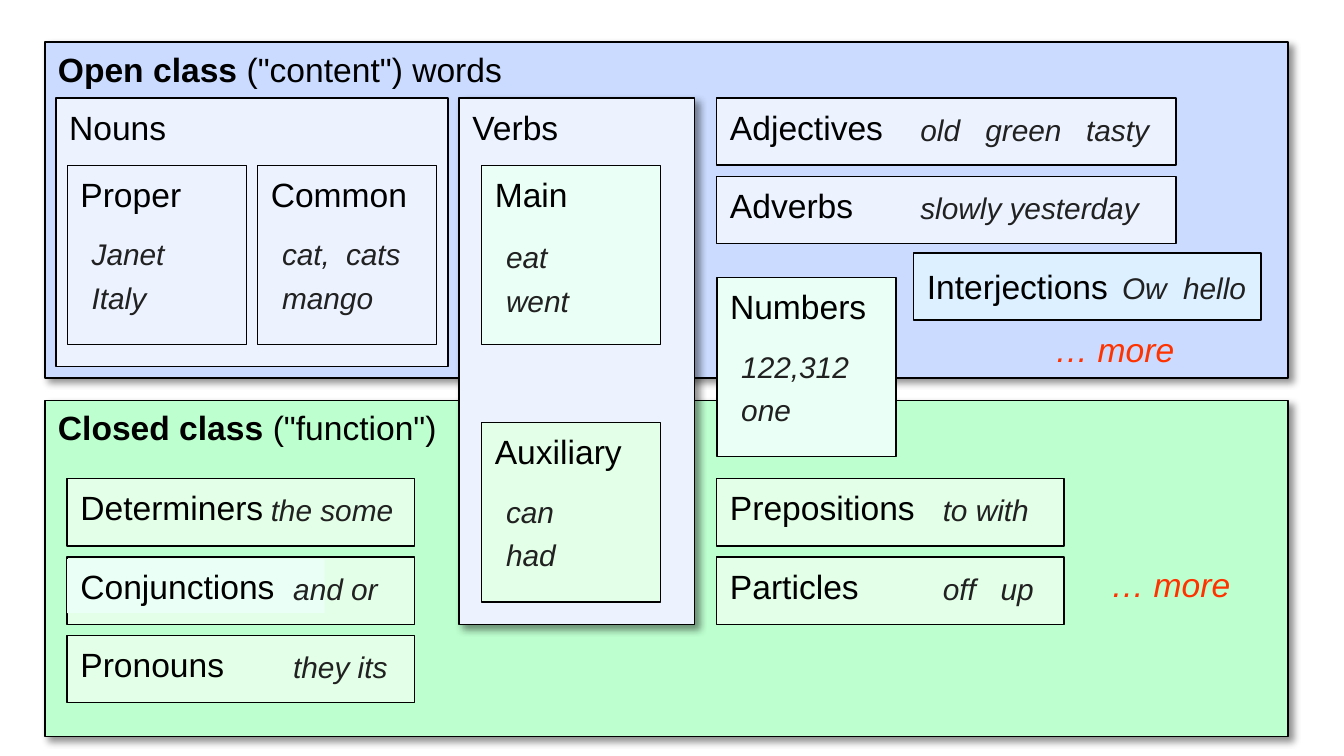
from dataclasses import dataclass

from lxml.etree import SubElement
from pptx import Presentation
from pptx.dml.color import RGBColor
from pptx.enum.shapes import MSO_SHAPE
from pptx.enum.text import MSO_ANCHOR, MSO_AUTO_SIZE, PP_ALIGN
from pptx.oxml.ns import qn
from pptx.util import Pt


@dataclass(frozen=True)
class Theme:
    font: str = "Arial"
    heading_size: float = 18
    example_size: float = 16
    black: str = "000000"
    example: str = "212121"
    more: str = "FF3300"
    open_class: str = "CADBFF"
    closed_class: str = "BDFFCF"
    open_box: str = "ECF3FF"
    closed_box: str = "E3FFE7"
    mixed_box: str = "EAFFF5"
    interjection_box: str = "DDF0FF"


THEME = Theme()
ROW_HEIGHT = 36
ROW_PITCH = 42
SQUARE = 96


def add_shadow(shape):
    effects = shape.element.spPr.find(qn("a:effectLst"))
    shadow = SubElement(effects, qn("a:outerShdw"), blurRad=str(Pt(4)),
                        dist=str(Pt(3)), dir="2700000", algn="tl", rotWithShape="0")
    color = SubElement(shadow, qn("a:srgbClr"), val=THEME.black)
    SubElement(color, qn("a:alpha"), val="43000")


def add_box(slide, left, top, width, height, fill=None, shadow=False):
    shape = slide.shapes.add_shape(MSO_SHAPE.RECTANGLE, Pt(left), Pt(top), Pt(width), Pt(height))
    shape.shadow.inherit = False
    if fill:
        shape.fill.solid()
        shape.fill.fore_color.rgb = RGBColor.from_string(fill)
    else:
        shape.fill.background()
    shape.line.color.rgb = RGBColor.from_string(THEME.black)
    shape.line.width = Pt(0.75)
    if shadow:
        add_shadow(shape)
    return shape


def write_text(shape, text, size=THEME.heading_size, color=THEME.black,
               italic=False, bold_lead="", tabs=()):
    """Write one paragraph per line; bold_lead comes first, tabs are stops in points."""
    frame = shape.text_frame
    frame.word_wrap = True
    for index, line in enumerate(text.split("\n")):
        paragraph = frame.add_paragraph() if index else frame.paragraphs[0]
        paragraph.alignment = PP_ALIGN.LEFT
        if index:
            paragraph.space_before = Pt(4)
        if tabs:
            stops = SubElement(paragraph._p.get_or_add_pPr(), qn("a:tabLst"))
            for stop in tabs:
                SubElement(stops, qn("a:tab"), pos=str(Pt(stop)), algn="l")
        for content, bold in ((bold_lead, True), (line, False)):
            if content:
                run = paragraph.add_run()
                run.text = content
                run.font.name = THEME.font
                run.font.size = Pt(size)
                run.font.bold = bold
                run.font.italic = italic
                run.font.color.rgb = RGBColor.from_string(color)


def add_text(slide, left, top, width, text, height=29, **text_format):
    shape = slide.shapes.add_textbox(Pt(left), Pt(top), Pt(width), Pt(height))
    write_text(shape, text, **text_format)
    shape.text_frame.auto_size = MSO_AUTO_SIZE.SHAPE_TO_FIT_TEXT
    return shape


def add_examples(slide, left, top, width, text, tabs=()):
    height = 50 if "\n" in text else 26.5
    add_text(slide, left, top, width, text, height=height, size=THEME.example_size,
             color=THEME.example, italic=True, tabs=tabs)


def add_class_panel(slide, top, fill, name, note, title_width):
    """Wide panel for one class of words."""
    add_box(slide, 24, top, 666, 180, fill, shadow=True)
    add_text(slide, 24, top, title_width, note, bold_lead=name)


def add_group(slide, left, top, width, height, name, shadow=False):
    """Box that holds several squares."""
    add_box(slide, left, top, width, height, THEME.open_box, shadow)
    add_text(slide, left, top + 1, 114, name)


def add_square(slide, left, top, name, examples, fill=None, drop=34.5, tabs=()):
    """Square with a heading and two lines of examples."""
    add_box(slide, left, top, SQUARE, SQUARE, fill)
    add_text(slide, left, top + 1, SQUARE + 10, name)
    add_examples(slide, left + 6, top + drop, 90, examples, tabs)


def add_rows(slide, left, top, width, fill, rows):
    """Stack of rows: name, examples, offset of the examples, tab stops, name fill."""
    for index, (name, examples, offset, tabs, name_fill) in enumerate(rows):
        row_top = top + index * ROW_PITCH
        add_box(slide, left, row_top, width, ROW_HEIGHT, fill)
        heading = add_text(slide, left, row_top + 1, 138, name)
        if name_fill:
            heading.fill.solid()
            heading.fill.fore_color.rgb = RGBColor.from_string(name_fill)
        add_examples(slide, left + offset, row_top + 3.5, 144, examples, tabs)


def add_interjections(slide, left, top):
    box = add_box(slide, left, top, 186, ROW_HEIGHT, THEME.interjection_box)
    write_text(box, "Interjections")
    box.text_frame.vertical_anchor = MSO_ANCHOR.MIDDLE
    add_examples(slide, left + 104.5, top + 5.5, 90, "Ow\thello", tabs=(32.7,))


def add_more(slide, left, top):
    add_text(slide, left, top, 90, "… more", color=THEME.more, italic=True)


def main():
    presentation = Presentation()
    presentation.slide_width = Pt(720)
    presentation.slide_height = Pt(405)
    slide = presentation.slides.add_slide(presentation.slide_layouts[6])

    # Panels of the two classes
    add_class_panel(slide, 214.5, THEME.closed_class, "Closed class ", "(\"function\")", 288)
    add_class_panel(slide, 22.5, THEME.open_class, "Open class ", "(\"content\") words", 258)

    # Nouns and verbs
    add_group(slide, 30, 52.5, 210, 144, "Nouns")
    add_square(slide, 36, 88.5, "Proper", "Janet\nItaly")
    add_square(slide, 138, 88.5, "Common", "cat,\tcats\nmango", tabs=(34.3,))
    add_group(slide, 246, 52.5, 126, 282, "Verbs", shadow=True)
    add_square(slide, 258, 226.5, "Auxiliary", "can\nhad", THEME.closed_box)
    add_square(slide, 258, 88.5, "Main", "eat\nwent", THEME.mixed_box, drop=36)

    # Rows of the other word types
    add_rows(slide, 384, 52.5, 246, THEME.open_box, [
        ("Adjectives", "old\tgreen\ttasty", 102, (34.8, 88.8), None),
        ("Adverbs", "slowly yesterday", 102, (), None),
    ])
    add_rows(slide, 384, 256.5, 186, THEME.closed_box, [
        ("Prepositions", "to with", 114, (), None),
        ("Particles", "off\tup", 114, (31,), None),
    ])
    add_rows(slide, 36, 256.5, 186, THEME.closed_box, [
        ("Determiners", "the some", 102, (), None),
        ("Conjunctions", "and or", 114, (), THEME.mixed_box),
        ("Pronouns", "they its", 114, (), None),
    ])

    # Numbers, interjections and further types
    add_more(slide, 558, 172.5)
    add_more(slide, 588, 298.5)
    add_square(slide, 384, 148.5, "Numbers", "122,312\none", THEME.mixed_box)
    add_interjections(slide, 489.5, 135.5)

    presentation.save("out.pptx")


if __name__ == "__main__":
    main()
